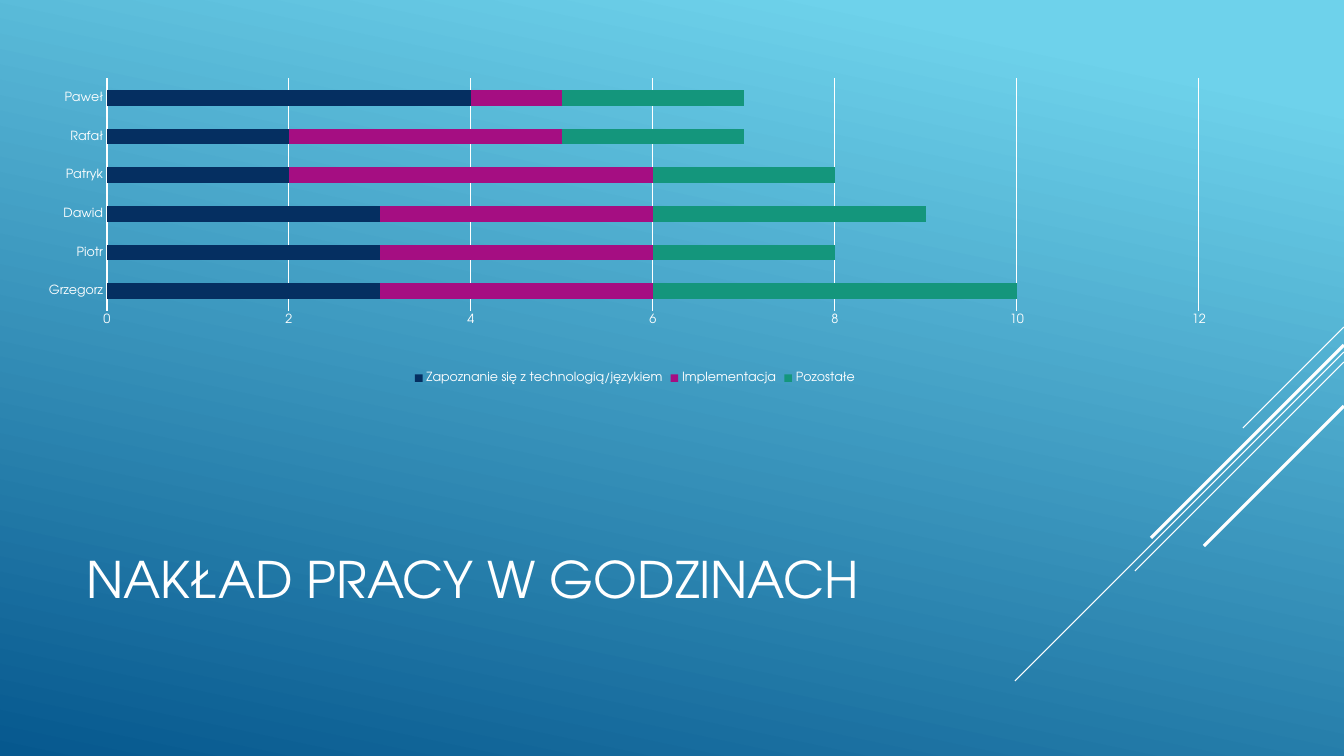
import lxml.etree
import pptx
import pptx.util
import pptx.chart.data
import pptx.dml.color
import pptx.enum.chart
import pptx.enum.shapes
import pptx.enum.text
import pptx.oxml.ns

RGB = pptx.dml.color.RGBColor
WHITE = RGB(0xFF, 0xFF, 0xFF)
SKY = RGB(0x6E, 0xD2, 0xEB)
DEEP_BLUE = RGB(0x06, 0x58, 0x8E)
NAVY = RGB(0x05, 0x2F, 0x61)
MAGENTA = RGB(0xA5, 0x0E, 0x82)
GREEN = RGB(0x14, 0x96, 0x7C)
FONT = "TeX Gyre Adventor"

TITLE = "NAKŁAD PRACY W GODZINACH"
PEOPLE = ["Grzegorz", "Piotr", "Dawid", "Patryk", "Rafał", "Paweł"]
HOURS = [
    ("Zapoznanie się z technologią/językiem", [3, 3, 3, 2, 2, 4], NAVY),
    ("Implementacja", [3, 3, 3, 4, 3, 1], MAGENTA),
    ("Pozostałe", [4, 2, 3, 2, 2, 2], GREEN),
]
BACKGROUND_STOPS = [(0.1, SKY), (1.0, DEEP_BLUE)]

# Diagonals at 45 degrees from the right edge: top y, run in px, width in pt
DIAGONALS = [(327, 101, 0.75), (352, 329, 0.75), (362, 209, 0.75),
             (345, 193, 2.25), (406, 140, 2.25)]

SLIDE_W, SLIDE_H = 1344, 756
TITLE_BOX = (76, 495, 940, 166)
CHART_BOX = (35, 78, 1200, 310)
PLOT_AREA = {"x": 0.06, "y": 0, "w": 0.91, "h": 0.75}
EMU_PER_PX = 12192000 / SLIDE_W


def px(n):
    return pptx.util.Emu(round(n * EMU_PER_PX))


def style_font(font, size):
    font.name = FONT
    font.size = pptx.util.Pt(size)
    font.bold = False
    font.color.rgb = WHITE


def style_line(line, width=0.75):
    line.color.rgb = WHITE
    line.width = pptx.util.Pt(width)


def paint_background(slide):
    fill = slide.background.fill
    fill.gradient()
    fill.gradient_angle = 258
    for stop, (position, color) in zip(fill.gradient_stops, BACKGROUND_STOPS):
        stop.position = position
        stop.color.rgb = color


def add_diagonal(slide, top, run, width):
    line = slide.shapes.add_connector(
        pptx.enum.shapes.MSO_CONNECTOR.STRAIGHT,
        px(SLIDE_W), px(top), px(SLIDE_W - run), px(top + run))
    style_line(line.line, width)
    lxml.etree.SubElement(line._element.spPr, pptx.oxml.ns.qn("a:effectLst"))


def set_title(slide):
    title = slide.shapes.title
    title.left, title.top, title.width, title.height = map(px, TITLE_BOX)
    tf = title.text_frame
    tf.word_wrap = True
    tf.vertical_anchor = pptx.enum.text.MSO_ANCHOR.MIDDLE
    p = tf.paragraphs[0]
    p.alignment = pptx.enum.text.PP_ALIGN.LEFT
    r = p.add_run()
    r.text = TITLE
    style_font(r.font, 36)


def fix_plot_area(chart):
    """Pin the inner plot area to fractions of the chart frame."""
    qn = pptx.oxml.ns.qn
    plot_area = chart._chartSpace.chart.plotArea
    for old in plot_area.findall(qn("c:layout")):
        plot_area.remove(old)
    settings = [("layoutTarget", "inner"), ("xMode", "edge"), ("yMode", "edge")]
    settings += PLOT_AREA.items()
    layout = lxml.etree.Element(qn("c:layout"))
    manual = lxml.etree.SubElement(layout, qn("c:manualLayout"))
    for tag, value in settings:
        lxml.etree.SubElement(manual, qn(f"c:{tag}"), val=str(value))
    plot_area.insert(0, layout)


def add_hours_chart(slide):
    data = pptx.chart.data.CategoryChartData()
    data.categories = PEOPLE
    for name, values, _ in HOURS:
        data.add_series(name, values)
    chart = slide.shapes.add_chart(
        pptx.enum.chart.XL_CHART_TYPE.BAR_STACKED, *map(px, CHART_BOX), data).chart
    chart.has_title = False
    style_font(chart.font, 10)

    plot = chart.plots[0]
    plot.gap_width = 150
    plot.overlap = 100
    plot.vary_by_categories = False
    for series, (_, _, color) in zip(plot.series, HOURS):
        series.format.fill.solid()
        series.format.fill.fore_color.rgb = color

    names, hours = chart.category_axis, chart.value_axis
    for axis in (names, hours):
        axis.major_tick_mark = pptx.enum.chart.XL_TICK_MARK.NONE
        axis.minor_tick_mark = pptx.enum.chart.XL_TICK_MARK.NONE
        style_font(axis.tick_labels.font, 9)
    style_line(names.format.line)
    hours.format.line.fill.background()
    hours.minimum_scale, hours.maximum_scale, hours.major_unit = 0, 12, 2
    hours.has_major_gridlines = True
    style_line(hours.major_gridlines.format.line)

    chart.has_legend = True
    chart.legend.position = pptx.enum.chart.XL_LEGEND_POSITION.BOTTOM
    chart.legend.include_in_layout = False
    style_font(chart.legend.font, 9)
    fix_plot_area(chart)


def main():
    prs = pptx.Presentation()
    prs.slide_width, prs.slide_height = px(SLIDE_W), px(SLIDE_H)
    slide = prs.slides.add_slide(prs.slide_layouts.get_by_name("Title Only"))
    paint_background(slide)
    for diagonal in DIAGONALS:
        add_diagonal(slide, *diagonal)
    set_title(slide)
    add_hours_chart(slide)
    prs.save("out.pptx")


if __name__ == "__main__":
    main()
